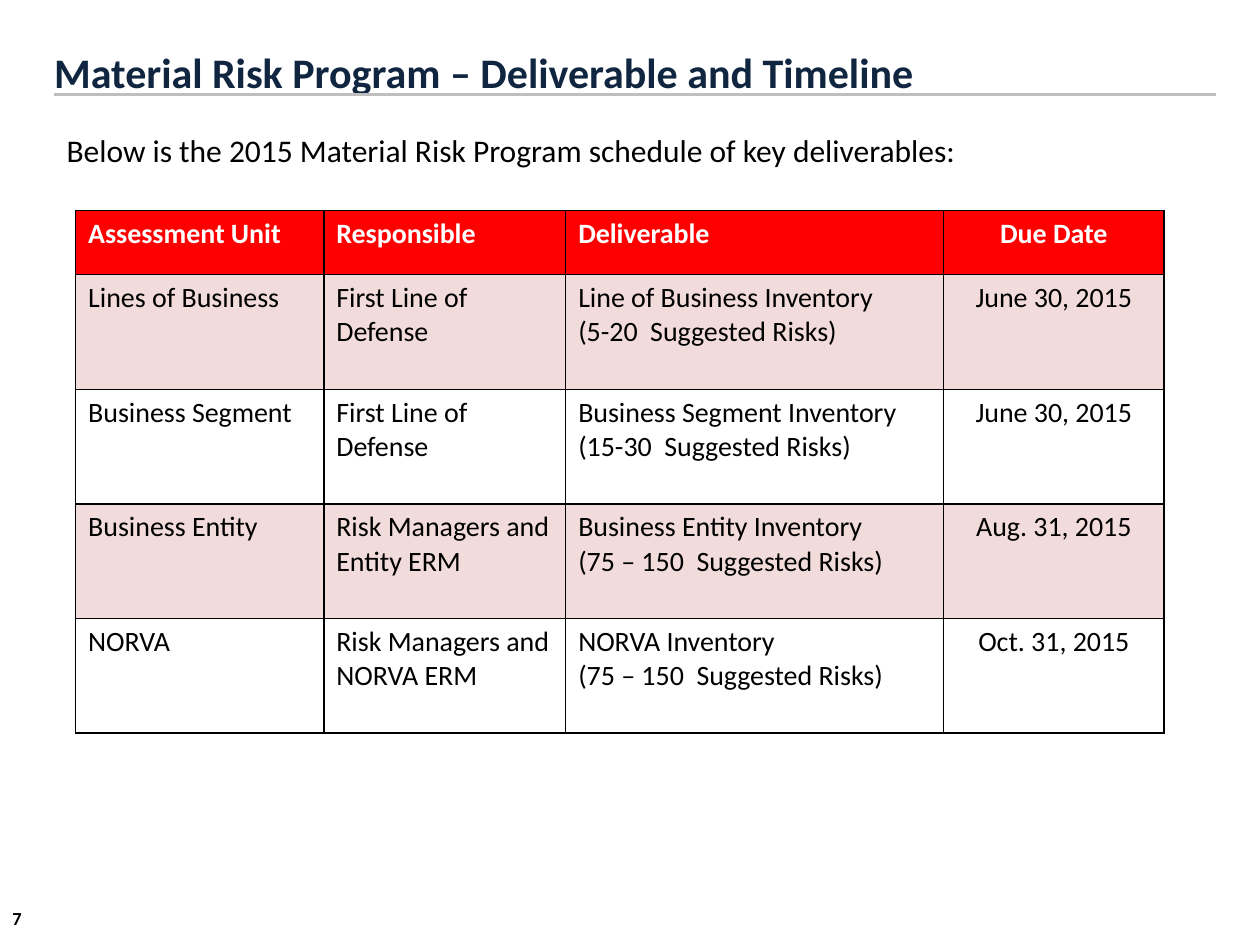
from lxml import etree
from pptx import Presentation
from pptx.dml.color import RGBColor
from pptx.enum import shapes, text
from pptx.oxml import parse_xml
from pptx.oxml.ns import nsdecls, qn
from pptx.util import Inches, Pt

COLORS = {
    "title": "10253F", "text": "000000", "header_text": "FFFFFF",
    "header": "FF0000", "band": "C0504D", "border": "000000", "rule": "BFBFBF",
}
HEADERS = ["Assessment Unit", "Responsible", "Deliverable", "Due Date"]
ROWS = [
    ["Lines of Business", "First Line of Defense",
     "Line of Business Inventory\n(5-20  Suggested Risks)", "June 30, 2015"],
    ["Business Segment", "First Line of Defense",
     "Business Segment Inventory\n(15-30  Suggested Risks)", "June 30, 2015"],
    ["Business Entity", "Risk Managers and Entity ERM",
     "Business Entity Inventory\n(75 – 150  Suggested Risks)", "Aug. 31, 2015"],
    ["NORVA", "Risk Managers and NORVA ERM",
     "NORVA Inventory\n(75 – 150  Suggested Risks)", "Oct. 31, 2015"],
]
COLUMN_WIDTHS = [1.97, 1.92, 3, 1.75]
HEADER_HEIGHT, ROW_HEIGHT = 0.51, 0.91


def write(frame, content, size, color, bold=False, align=text.PP_ALIGN.LEFT):
    """Put each line of content in its own paragraph of the text frame."""
    frame.word_wrap = True
    for index, line in enumerate(content.split("\n")):
        paragraph = frame.add_paragraph() if index else frame.paragraphs[0]
        paragraph.alignment = align
        run = paragraph.add_run()
        run.text = line
        run.font.name = "Calibri"
        run.font.size = Pt(size)
        run.font.bold = bold
        run.font.color.rgb = RGBColor.from_string(COLORS[color])


def add_borders(cell):
    properties = cell._tc.get_or_add_tcPr()
    for index, side in enumerate(("lnL", "lnR", "lnT", "lnB")):
        properties.insert(index, parse_xml(
            f'<a:{side} {nsdecls("a")} w="{Pt(1)}"><a:solidFill>'
            f'<a:srgbClr val="{COLORS["border"]}"/></a:solidFill></a:{side}>'))


presentation = Presentation()
presentation.slide_width = Inches(10)
presentation.slide_height = Inches(7.5)
slide = presentation.slides.add_slide(presentation.slide_layouts[5])

# Title and the rule beneath it
title = slide.shapes.title
title.left, title.top = Inches(0.33), Inches(0.3)
title.width, title.height = Inches(9.17), Inches(0.53)
title.text_frame.vertical_anchor = text.MSO_ANCHOR.MIDDLE
title.text_frame.auto_size = text.MSO_AUTO_SIZE.NONE
write(title.text_frame, "Material Risk Program – Deliverable and Timeline", 24, "title", bold=True)

rule = slide.shapes.add_connector(
    shapes.MSO_CONNECTOR.STRAIGHT, Inches(0.43), Inches(0.75), Inches(9.65), Inches(0.75))
rule.line.color.rgb = RGBColor.from_string(COLORS["rule"])
rule.line.width = Pt(2.25)
etree.SubElement(rule._element.spPr, qn("a:effectLst"))

# Introduction and page number
introduction = slide.shapes.add_textbox(Inches(0.43), Inches(0.99), Inches(8.65), Inches(0.4))
write(introduction.text_frame,
      "Below is the 2015 Material Risk Program schedule of key deliverables:", 18, "text")

page_number = slide.shapes.add_textbox(Inches(0), Inches(7.08), Inches(0.42), Inches(0.42))
page_number.text_frame.vertical_anchor = text.MSO_ANCHOR.MIDDLE
write(page_number.text_frame, "7", 10.5, "text", bold=True)

# Schedule of deliverables
table = slide.shapes.add_table(
    len(ROWS) + 1, len(HEADERS), Inches(0.6), Inches(1.67),
    Inches(sum(COLUMN_WIDTHS)), Inches(HEADER_HEIGHT + ROW_HEIGHT * len(ROWS))).table
table.horz_banding = False
for column, width in zip(table.columns, COLUMN_WIDTHS):
    column.width = Inches(width)

for row_index, values in enumerate([HEADERS] + ROWS):
    is_header = row_index == 0
    table.rows[row_index].height = Inches(HEADER_HEIGHT if is_header else ROW_HEIGHT)
    for column_index, value in enumerate(values):
        cell = table.cell(row_index, column_index)
        is_date = column_index == len(HEADERS) - 1
        write(cell.text_frame, value, 16, "header_text" if is_header else "text", bold=is_header,
              align=text.PP_ALIGN.CENTER if is_date else text.PP_ALIGN.LEFT)
        if is_header or row_index % 2:
            cell.fill.solid()
            cell.fill.fore_color.rgb = RGBColor.from_string(COLORS["header" if is_header else "band"])
            if not is_header:
                color = cell._tc.tcPr.find(".//" + qn("a:srgbClr"))
                etree.SubElement(color, qn("a:alpha"), val="20000")
        else:
            cell.fill.background()
        add_borders(cell)

presentation.save("out.pptx")
